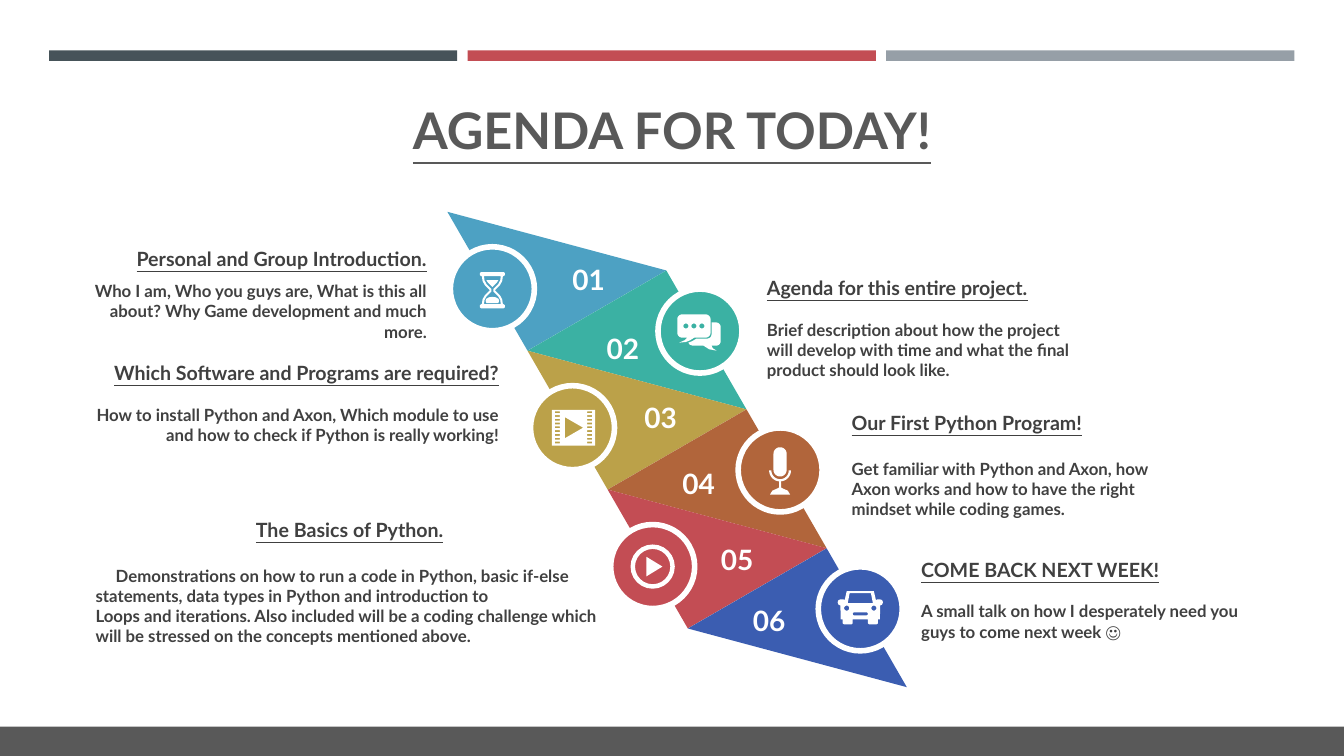
from math import cos, radians, sin

from pptx import Presentation
from pptx.dml.color import RGBColor
from pptx.enum.shapes import MSO_SHAPE
from pptx.enum.text import MSO_ANCHOR, PP_ALIGN
from pptx.util import Pt

RECTANGLE, TRIANGLE, OVAL = MSO_SHAPE.RECTANGLE, MSO_SHAPE.RIGHT_TRIANGLE, MSO_SHAPE.OVAL
TOP, MIDDLE = MSO_ANCHOR.TOP, MSO_ANCHOR.MIDDLE
LEFT, CENTER, RIGHT = PP_ALIGN.LEFT, PP_ALIGN.CENTER, PP_ALIGN.RIGHT

WHITE = RGBColor(0xFF, 0xFF, 0xFF)
SLATE = RGBColor(0x46, 0x53, 0x59)
SILVER = RGBColor(0x96, 0x9F, 0xA7)
GRAY = RGBColor(0x59, 0x59, 0x59)
INK = RGBColor(0x40, 0x40, 0x40)
BLUE = RGBColor(0x4D, 0xA1, 0xC3)
TEAL = RGBColor(0x3B, 0xB1, 0xA3)
GOLD = RGBColor(0xBB, 0xA1, 0x49)
RUST = RGBColor(0xB1, 0x65, 0x3B)
RED = RGBColor(0xC3, 0x4D, 0x54)
INDIGO = RGBColor(0x3B, 0x5D, 0xB1)


def arc(x, y, radius, start=0, end=360):
    """Return points along an arc, with angles in degrees clockwise from the right."""
    angles = [radians(start + (end - start) * i / 24) for i in range(25)]
    return [(x + radius * cos(a), y + radius * sin(a)) for a in angles]


def mirrored(half):
    """Close a right-hand half outline with its reflection across x = 0."""
    return half + [(-x, y) for x, y in reversed(half)]


deck = Presentation()
deck.slide_width, deck.slide_height = Pt(960), Pt(540)
slide = deck.slides.add_slide(deck.slide_layouts[6])
shapes = slide.shapes

# Bands, staircase triangles and badges: kind, left, top, width, height, turn, fill
pieces = [(RECTANGLE, 35 + 299 * i, 36, 291.6, 7.5, 0, color)
          for i, color in enumerate((SLATE, RED, SILVER))]
pieces.append((RECTANGLE, 0, 519, 960, 21, 0, GRAY))

STEP_X, STEP_Y = 57.25, 99.2
TRIANGLE_SIDE, BADGE = 114.5, 60
badges = []
badge_centers = []
for i, color in enumerate((BLUE, TEAL, GOLD, RUST, RED, INDIGO)):
    row, on_right = divmod(i, 2)
    step = row + on_right
    pieces.append((TRIANGLE, 340.5 + STEP_X * step, 115 + STEP_Y * step,
                   TRIANGLE_SIDE, TRIANGLE_SIDE, 150 if on_right else 330, color))
    x = (500 if on_right else 351.7) + STEP_X * row
    y = (236.5 if on_right else 206.3) + STEP_Y * row
    badge_centers.append((x, y))
    badges.append((OVAL, x - BADGE / 2, y - BADGE / 2, BADGE, BADGE, 330, color))

for kind, left, top, width, height, turn, color in pieces + badges:
    piece = shapes.add_shape(kind, Pt(left), Pt(top), Pt(width), Pt(height))
    piece.shadow.inherit = False
    piece.rotation = turn
    piece.fill.solid()
    piece.fill.fore_color.rgb = color
    if kind == OVAL:
        piece.line.color.rgb = WHITE
        piece.line.width = Pt(4)
    else:
        piece.line.fill.background()

# Icon outlines in points from the badge centre; inner outlines cut holes
hourglass = [
    mirrored([(0, -12), (8, -12), (9, -11.2), (9, -9.8), (8, -9), (7.5, -9), (7, -5.5),
              (5.4, -2.6), (1.8, 1), (5.4, 4.6), (7, 7.5), (7.5, 11), (8, 11),
              (9, 11.8), (9, 13.2), (8, 14), (0, 14)]),
    mirrored([(0, -9), (6, -9), (5.6, -6), (4.2, -3.4), (0.7, 0.1), (0.7, 1.9),
              (4.2, 5.4), (5.6, 8), (6, 11), (0, 11)]),
    mirrored([(4.3, -6.2), (3.3, -4.6), (0, -1.2)]),
    mirrored([(0, 5.8), (2.5, 6.1), (4.4, 7.2), (4.8, 8.5), (4.3, 10.2)]),
]
chat = [arc(x, -3.6, 1.8) for x in (-10, -4.3, 1.4)] + [
    arc(-12.6, -8.3, 3.6, 180, 270) + arc(4, -8.3, 3.6, 270, 360)
    + arc(4, 1.1, 3.6, 0, 90)
    + [(-4, 4.7), (-7, 6.6), (-10, 7.8), (-14.8, 8.3), (-11, 6.6), (-9, 4.7)]
    + arc(-12.6, 1.1, 3.6, 90, 180),
    [(8.3, -6.1)] + arc(11.6, -2.9, 3.2, 270, 360) + arc(11.6, 7.2, 3.2, 0, 90)
    + [(8.3, 10.4), (9.2, 12.3), (11.9, 14), (6.5, 13), (2.5, 10.4), (-5.4, 10.4),
       (-7.2, 9.8), (-8.3, 8.3), (-5.5, 7.2), (-2.5, 5.4)]
    + arc(5.1, 2.2, 3.2, 90, 0),
]
film = [
    [(-14.8, -12.8), (16.2, -12.8), (16.2, 12.8), (-14.8, 12.8)],
    [(-5.4, -7.5), (-5.4, 7.5), (7.6, 0)],
]
for x in (-12.6, 10.4):
    for i in range(9):
        y = -11.7 + 2.7 * i
        film.append([(x, y), (x + 3.6, y), (x + 3.6, y + 1.3), (x, y + 1.3)])
microphone = [
    arc(0, -11.5, 4.7, 180, 360) + arc(0, 0, 4.7, 0, 180),
    mirrored(arc(0, 0.4, 6.2, 90, 0) + arc(0, 0.4, 7.8, 0, 85)
             + [(0.7, 12.6), (2.2, 13.4), (5.5, 14.8), (7.2, 17.6)]),
]
play = [arc(0, 0, 15.8), arc(0, 0, 12.6), [(-4.5, -7), (-4.5, 7), (7, 0)]]
car = [
    mirrored([(0, -12.6), (9.7, -12.6), (11.2, -6.1), (12, -6.8), (14, -6.8),
              (15.6, -6.2), (16.2, -4.7), (15.6, -3), (14.2, -2.4), (14, 7.6),
              (12.6, 7.6), (12.6, 10.4), (11.5, 11.2), (6.5, 11.2), (5.4, 10.4),
              (5.4, 7.6), (0, 7.6)]),
    mirrored([(7.6, -11.2), (9, -4)]),
    arc(-9.7, -0.5, 1.8),
    arc(9.7, -0.5, 1.8),
    arc(-4.3, 3.6, 1.1, 90, 270) + arc(4.3, 3.6, 1.1, -90, 90),
]
for (x, y), outlines in zip(badge_centers, (hourglass, chat, film, microphone, play, car)):
    builder = None
    for outline in outlines:
        points = [(Pt(x + dx), Pt(y + dy)) for dx, dy in outline]
        if builder is None:
            builder = shapes.build_freeform(*points[0])
        else:
            builder.move_to(*points[0])
        builder.add_line_segments(points[1:], close=True)
    icon = builder.convert_to_shape()
    icon.shadow.inherit = False
    icon.fill.solid()
    icon.fill.fore_color.rgb = WHITE
    icon.line.fill.background()

# Texts: left, top, width, height, anchor, paragraphs
# Paragraph: text, size, colour, underlined, alignment, space after
texts = [(0, 79, 960, 33, MIDDLE, [("AGENDA FOR TODAY!", 36, GRAY, True, CENTER, 0)])]
number_centers = [(420.5, 199.5), (445, 248.5), (472, 298),
                  (499, 345.5), (526.5, 399.5), (549.5, 443)]
for i, (x, y) in enumerate(number_centers, 1):
    texts.append((x - 25, y - 16, 50, 32, MIDDLE, [(f"{i:02}", 20, WHITE, False, CENTER, 0)]))

# Topics: left, top, width, height, heading alignment, body alignment, gap, heading, body
topics = [
    (49, 172.8, 263, 76, RIGHT, RIGHT, 7.5, "Personal and Group Introduction.",
     ["Who I am, Who you guys are, What is this all about? "
      "Why Game development and much more."]),
    (540.7, 193.7, 243.4, 82, LEFT, LEFT, 14.4, "Agenda for this entire project.",
     ["Brief description about how the project will develop with time "
      "and what the final product should look like."]),
    (41.8, 254.2, 321.8, 68, RIGHT, RIGHT, 14.4, "Which Software and Programs are required?",
     ["How to install Python and Axon, Which module to use "
      "and how to check if Python is really working!"]),
    (601.2, 290.2, 243.4, 85, LEFT, LEFT, 16.8, "Our First Python Program!",
     ["Get familiar with Python and Axon, how Axon works "
      "and how to have the right mindset while coding games."]),
    (61.2, 366.7, 377.3, 100, CENTER, LEFT, 16.8, "The Basics of Python.",
     ["Demonstrations on how to run a code in Python, basic if-else statements, "
      "data types in Python and introduction to",
      "Loops and iterations. Also included will be a coding challenge "
      "which will be stressed on the concepts mentioned above."]),
    (650.9, 394.6, 243.4, 68, LEFT, LEFT, 14.4, "COME BACK NEXT WEEK!",
     ["A small talk on how I desperately need you guys to come next week \u263a"]),
]
for left, top, width, height, heading_align, body_align, gap, heading, body in topics:
    lines = [(heading, 14, INK, True, heading_align, gap)]
    lines += [(line, 12, INK, False, body_align, 0) for line in body]
    texts.append((left, top, width, height, TOP, lines))

for left, top, width, height, anchor, lines in texts:
    frame = shapes.add_textbox(Pt(left), Pt(top), Pt(width), Pt(height)).text_frame
    frame.word_wrap = True
    frame.vertical_anchor = anchor
    for i, (text, size, color, underlined, align, space_after) in enumerate(lines):
        paragraph = frame.add_paragraph() if i else frame.paragraphs[0]
        paragraph.text = text
        paragraph.alignment = align
        paragraph.space_after = Pt(space_after)
        if size == 36:
            paragraph.line_spacing = 0.9
            paragraph.space_before = Pt(10)
        if text.startswith("Demonstrations"):
            paragraph._p.get_or_add_pPr().set("indent", str(Pt(14.4)))
        font = paragraph.runs[0].font
        font.name, font.size, font.bold = "Lato", Pt(size), True
        font.underline = underlined
        font.color.rgb = color

deck.save("out.pptx")
